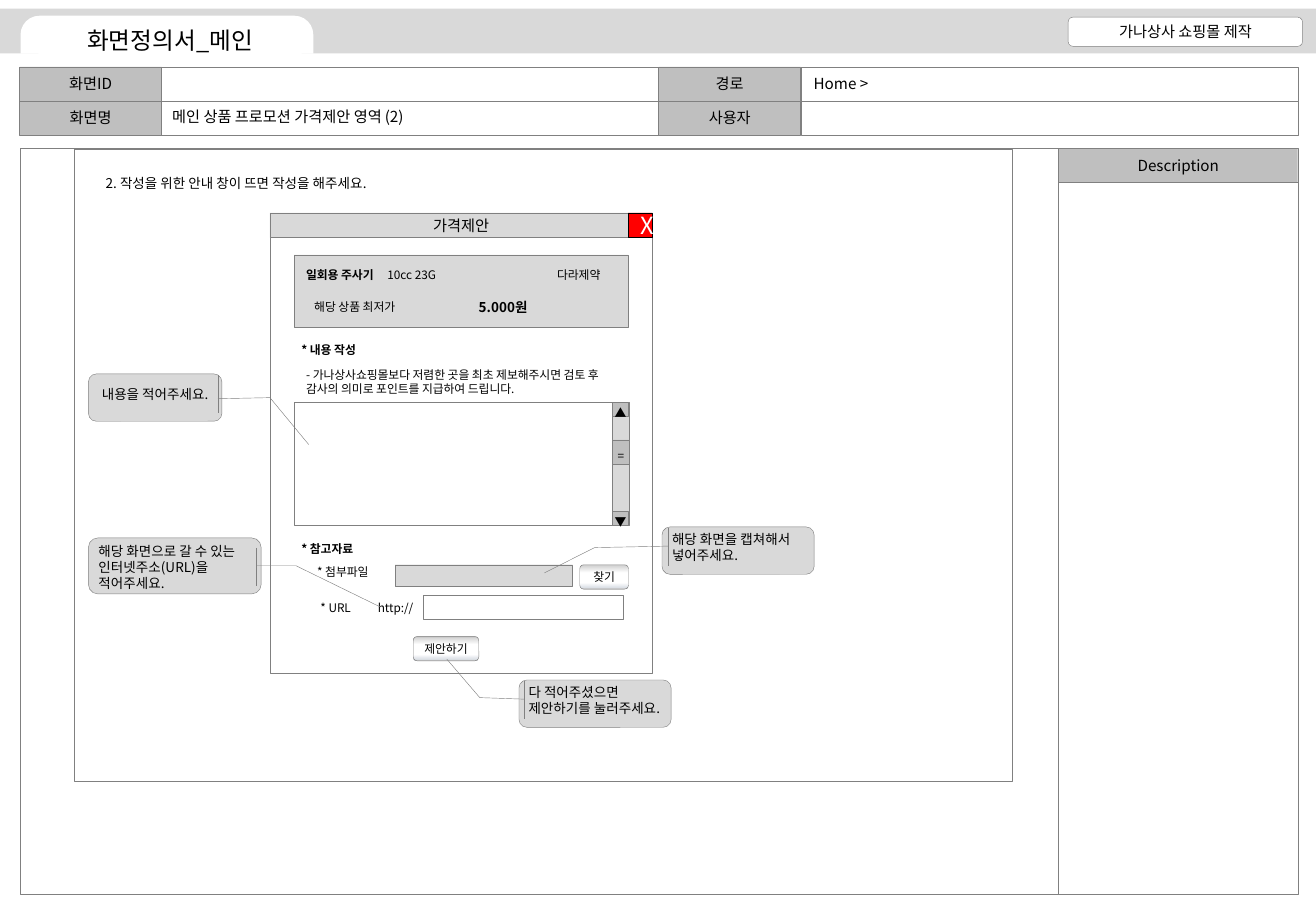
from lxml.etree import SubElement
from pptx import Presentation
from pptx.dml.color import RGBColor
from pptx.enum.shapes import MSO_SHAPE as SHAPE
from pptx.enum.text import MSO_ANCHOR as ANCHOR, PP_ALIGN as ALIGN
from pptx.oxml.ns import qn
from pptx.util import Cm, Pt

FONT = "Noto Sans CJK KR"
BLACK, WHITE, RED = "000000", "FFFFFF", "FF0000"
LINE, HEAD, PALE = "808080", "BFBFBF", "D9D9D9"
BUTTON_STOPS = [(0, HEAD), (8, PALE), (34, WHITE), (74, WHITE), (93, "DDE1E7"), (100, "CCCCCC")]


def paint(fill, color):
    if color is None:
        fill.background()
    else:
        fill.solid()
        fill.fore_color.rgb = RGBColor.from_string(color)


def write(tf, text, size, color=BLACK, bold=False, align=ALIGN.CENTER,
          anchor=ANCHOR.MIDDLE, inset=True, spacing=None):
    tf.text = text
    tf.word_wrap = True
    tf.vertical_anchor = anchor
    if not inset:
        tf.margin_left = tf.margin_right = tf.margin_top = tf.margin_bottom = 0
    p = tf.paragraphs[0]
    p.alignment = align
    if spacing:
        p.line_spacing = spacing
    for r in p.runs:
        r.font.size = Pt(size)
        r.font.bold = bold
        r.font.name = FONT
        paint(r.font.fill, color)
        SubElement(r.font._element, qn("a:ea")).set("typeface", FONT)


def add_box(slide, box, fill=None, line=LINE, kind=SHAPE.RECTANGLE, text=None, size=9, **style):
    sp = slide.shapes.add_shape(kind, *map(Cm, box))
    sp.shadow.inherit = False
    paint(sp.fill, fill)
    paint(sp.line.fill, line)
    if line:
        sp.line.width = Pt(0.25)
    if text:
        write(sp.text_frame, text, size, **style)
    return sp


def add_label(slide, box, text, size=7, align=ALIGN.LEFT, **style):
    tb = slide.shapes.add_textbox(*map(Cm, box))
    write(tb.text_frame, text, size, align=align, **style)


def add_button(slide, box, text):
    sp = add_box(slide, box, kind=SHAPE.ROUNDED_RECTANGLE, text=text, size=7, inset=False)
    sp.fill.gradient()
    sp.fill.gradient_angle = 270
    stops = sp._element.spPr.find(qn("a:gradFill")).find(qn("a:gsLst"))
    stops.clear()
    for pos, color in BUTTON_STOPS:
        gs = SubElement(stops, qn("a:gs"), pos=str(pos * 1000))
        SubElement(gs, qn("a:srgbClr"), val=color)


def add_callout(slide, bubble, box, adjust, text, align=ALIGN.LEFT):
    add_box(slide, bubble, PALE, kind=SHAPE.ROUNDED_RECTANGLE)
    sp = add_box(slide, box, kind=SHAPE.LINE_CALLOUT_2_ACCENT_BAR,
                 text=text, size=8, align=align, inset=False)
    for i, value in enumerate(adjust):
        sp.adjustments[i] = value


def add_header(slide):
    fields = [["화면ID", "경로"], ["화면명", "사용자"]]
    for row, names in enumerate(fields):
        for col, name in enumerate(names):
            x, y = 0.41 + 13.36 * col, 1.4 + 0.71 * row
            add_box(slide, (x, y, 2.97, 0.71), HEAD, text=name)
            add_box(slide, (x + 2.97, y, 10.39, 0.71))
    add_label(slide, (3.35, 2.13, 9, 0.64), "메인 상품 프로모션 가격제안 영역 (2)", 9, anchor=ANCHOR.TOP)
    add_label(slide, (16.76, 1.42, 3, 0.64), "Home >", 9, anchor=ANCHOR.TOP)

    add_box(slide, (0, 0.18, 27.51, 0.94), PALE, None)
    tab = add_box(slide, (0.43, 0.33, 6.12, 0.79), WHITE, None, SHAPE.ROUND_2_SAME_RECTANGLE)
    tab.adjustments[0] = 0.5
    add_box(slide, (22.33, 0.36, 4.9, 0.61), WHITE, kind=SHAPE.ROUNDED_RECTANGLE,
            text="가나상사 쇼핑몰 제작")
    add_box(slide, (0.76, 0.53, 5.59, 0.61), WHITE, None, SHAPE.ROUNDED_RECTANGLE,
            text="화면정의서_메인", size=14)


def add_frames(slide):
    add_box(slide, (0.43, 3.1, 21.7, 15.6))
    add_box(slide, (22.13, 3.1, 5, 0.72), HEAD, text="Description")
    add_box(slide, (22.13, 3.82, 5, 14.88))
    add_box(slide, (1.55, 3.12, 19.61, 13.21), WHITE)
    add_label(slide, (1.96, 3.53, 9.6, 0.61), "2. 작성을 위한 안내 창이 뜨면 작성을 해주세요.", 8,
              anchor=ANCHOR.TOP)


def add_popup(slide):
    add_box(slide, (5.64, 4.97, 8, 9.1), WHITE)
    add_box(slide, (5.64, 4.45, 8, 0.52), PALE, text="가격제안")
    add_box(slide, (13.13, 4.45, 0.51, 0.52), RED, BLACK, text="X", size=14, color=WHITE)

    add_box(slide, (6.15, 5.33, 6.98, 1.52), PALE)
    add_label(slide, (10.92, 5.49, 1.88, 0.51), "다라제약", align=ALIGN.RIGHT)
    add_label(slide, (6.15, 5.49, 2.21, 0.51), "일회용 주사기", bold=True)
    add_label(slide, (7.85, 5.49, 1.88, 0.51), "10cc 23G")
    add_label(slide, (9.4, 6.17, 1.88, 0.51), "5.000원", 8, ALIGN.RIGHT, bold=True)
    add_label(slide, (6.32, 6.17, 2.57, 0.51), "해당 상품 최저가")

    add_label(slide, (6.05, 7.06, 2.57, 0.51), "* 내용 작성", bold=True)
    add_label(slide, (6.15, 7.57, 6.98, 0.86),
              "- 가나상사쇼핑몰보다 저렴한 곳을 최초 제보해주시면 검토 후 "
              "감사의 의미로 포인트를 지급하여 드립니다.", anchor=ANCHOR.TOP)
    add_box(slide, (6.15, 8.41, 6.98, 2.57))
    add_box(slide, (12.8, 8.41, 0.36, 2.57), PALE)
    for y, arrow in [(10.69, "▼"), (8.41, "▲")]:
        add_box(slide, (12.8, y, 0.34, 0.3), HEAD, text=arrow, size=7, inset=False, spacing=1.5)
    add_box(slide, (12.8, 9.2, 0.36, 0.51), HEAD, text="=", size=7, spacing=1.5)

    add_label(slide, (6.05, 11.23, 2.57, 0.51), "* 참고자료", bold=True)
    add_label(slide, (6.38, 11.71, 2.57, 0.51), "* 첨부파일")
    add_box(slide, (8.26, 11.81, 3.71, 0.46), PALE)
    add_button(slide, (12.12, 11.81, 1.02, 0.51), "찾기")
    add_label(slide, (6.45, 12.45, 2.57, 0.51), "* URL")
    add_label(slide, (7.65, 12.47, 1.91, 0.46), "http://")
    add_box(slide, (8.84, 12.45, 4.19, 0.51))
    add_button(slide, (8.64, 13.31, 1.37, 0.51), "제안하기")


def add_callouts(slide):
    add_callout(slide, (1.85, 7.82, 2.79, 0.99), (1.85, 7.85, 2.79, 0.79),
                (0.62, 0.97, 0.59, 1.36, 1.83, 1.65), "내용을 적어주세요.", ALIGN.CENTER)
    add_callout(slide, (13.84, 11.02, 3.18, 0.99), (14.05, 11.05, 3, 0.79),
                (0.47, -0.03, 0.51, -0.54, 1.18, -0.89), "해당 화면을 캡쳐해서 넣어주세요.")
    add_callout(slide, (1.85, 11.25, 3.61, 1.17), (2.06, 11.46, 3.2, 0.79),
                (0.47, 1.03, 0.47, 1.29, 1.56, 1.84),
                "해당 화면으로 갈 수 있는 인터넷주소(URL)을 적어주세요.")
    add_callout(slide, (10.85, 14.22, 3.18, 0.99), (11.05, 14.25, 3, 0.79),
                (0.47, -0.03, 0.43, -0.34, -0.59, -0.57), "다 적어주셨으면 제안하기를 눌러주세요.")


def main():
    prs = Presentation()
    prs.slide_width, prs.slide_height = Cm(27.51), Cm(19.05)
    slide = prs.slides.add_slide(prs.slide_layouts[6])
    add_header(slide)
    add_frames(slide)
    add_popup(slide)
    add_callouts(slide)
    prs.save("out.pptx")


main()
